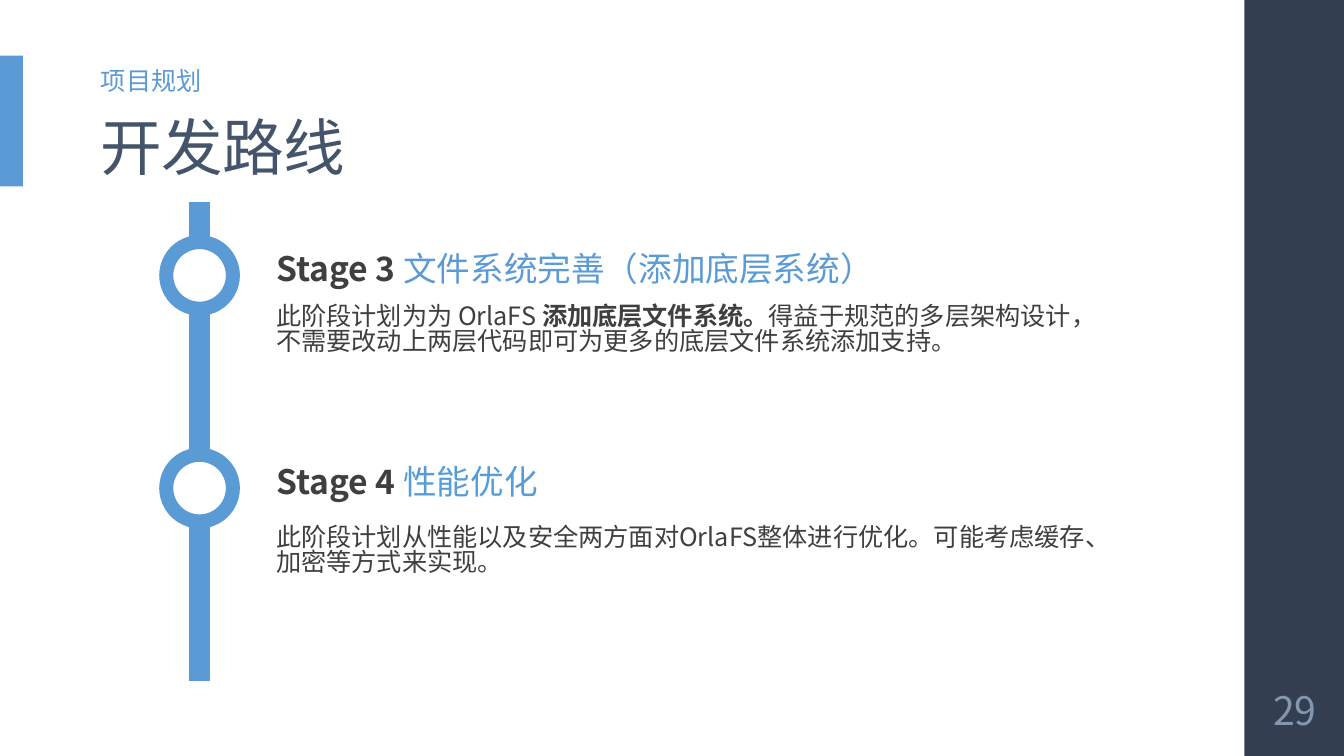
from lxml import etree
from pptx import Presentation
from pptx.dml.color import RGBColor
from pptx.enum.shapes import MSO_CONNECTOR, MSO_SHAPE
from pptx.enum.text import MSO_ANCHOR, PP_ALIGN
from pptx.oxml.ns import qn
from pptx.util import Cm, Pt

RECT, OVAL = MSO_SHAPE.RECTANGLE, MSO_SHAPE.OVAL
STRAIGHT = MSO_CONNECTOR.STRAIGHT
TOP, MIDDLE, BOTTOM = MSO_ANCHOR.TOP, MSO_ANCHOR.MIDDLE, MSO_ANCHOR.BOTTOM
LEFT, CENTER = PP_ALIGN.LEFT, PP_ALIGN.CENTER

FONT, MONO = "Noto Sans CJK SC", "Noto Sans Mono"
BLUE, CODE_BLUE, SLATE = "5B9BD5", "569CD6", "44546A"
NAVY, GREY_BLUE, DARK, WHITE = "333F50", "8497B0", "3F3F3F", "FFFFFF"

SLIDE_W, SLIDE_H = 33.87, 19.05
SIDEBAR_X, SIDEBAR_W = 31.36, 2.54
TITLE_X, TITLE_W = 2.29, 27.08
AXIS_X, RING = 5.03, 1.68
TEXT_X = 6.71
LINE_SPACING = 0.83

# ring top, label, (heading, colour, latin font), description as (text, bold)
STAGES = [
    (6.1, "Stage 3 ", ("文件系统完善（添加底层系统）", BLUE, FONT),
     [("此阶段计划为为 OrlaFS ", False), ("添加底层文件系统。", True),
      ("得益于规范的多层架构设计，不需要改动上两层代码即可为更多的底层文件系统添加支持。", False)]),
    (11.46, "Stage 4 ", ("性能优化", CODE_BLUE, MONO),
     [("此阶段计划从性能以及安全两方面对OrlaFS整体进行优化。可能考虑缓存、加密等方式来实现。", False)]),
]


def rgb(hex_color):
    return RGBColor.from_string(hex_color)


def add_block(slide, kind, x, y, w, h, fill, outline=None, weight=0):
    block = slide.shapes.add_shape(kind, Cm(x), Cm(y), Cm(w), Cm(h))
    block.shadow.inherit = False
    block.fill.solid()
    block.fill.fore_color.rgb = rgb(fill)
    if outline:
        block.line.color.rgb = rgb(outline)
        block.line.width = Pt(weight)
    else:
        block.line.fill.background()


def add_axis(slide, x, top, bottom):
    axis = slide.shapes.add_connector(STRAIGHT, Cm(x), Cm(top), Cm(x), Cm(bottom))
    axis.line.color.rgb = rgb(BLUE)
    axis.line.width = Pt(15)
    etree.SubElement(axis.line._get_or_add_ln().getparent(), qn("a:effectLst"))


def add_text(slide, x, y, w, h, runs, size, color, anchor=TOP, align=LEFT,
             spacing=LINE_SPACING, after=0, tracking=0):
    """Add a one-paragraph box; each run is (text, bold, colour, latin font)."""
    frame = slide.shapes.add_textbox(Cm(x), Cm(y), Cm(w), Cm(h)).text_frame
    frame.word_wrap = True
    frame.vertical_anchor = anchor
    paragraph = frame.paragraphs[0]
    paragraph.alignment = align
    paragraph.line_spacing = spacing
    paragraph.space_after = Pt(after)
    paragraph.font.size = Pt(size)
    paragraph.font.name = FONT
    paragraph.font.color.rgb = rgb(color)
    # East Asian typeface and letter spacing
    defaults = paragraph.font._rPr
    etree.SubElement(defaults, qn("a:ea")).set("typeface", FONT)
    if tracking:
        defaults.set("spc", str(tracking))
    for text, bold, run_color, run_font in runs:
        run = paragraph.add_run()
        run.text = text
        if bold:
            run.font.bold = True
        if run_color != color:
            run.font.color.rgb = rgb(run_color)
        if run_font != FONT:
            run.font.name = run_font
    return frame


def add_stage(slide, top, label, heading, description):
    add_block(slide, OVAL, AXIS_X - RING / 2, top, RING, RING, WHITE, BLUE, 10)
    name, name_color, name_font = heading
    add_text(slide, TEXT_X, top + 0.2, 16.97, 1.27,
             [(label, True, DARK, FONT), (name, False, name_color, name_font)], 24, DARK)
    add_text(slide, TEXT_X, top + (1.47 if top < 10 else 1.67), 20.93, 1.8,
             [(text, bold, DARK, FONT) for text, bold in description], 18, DARK)


def main():
    deck = Presentation()
    deck.slide_width, deck.slide_height = Cm(SLIDE_W), Cm(SLIDE_H)
    slide = deck.slides.add_slide(deck.slide_layouts[6])

    # Side bar and title accent
    add_block(slide, RECT, SIDEBAR_X, 0, SLIDE_W - SIDEBAR_X, SLIDE_H, NAVY)
    add_block(slide, RECT, 0, 1.4, 0.58, 3.3, BLUE)

    # Title, section and page number
    add_text(slide, TITLE_X, 2.64, TITLE_W, 2.06, [("开发路线", False, SLATE, FONT)],
             44, SLATE, BOTTOM, spacing=0.75, tracking=-50)
    add_text(slide, TITLE_X, 1.4, TITLE_W, 1.12, [("项目规划", False, BLUE, FONT)],
             18, BLUE, BOTTOM, spacing=0.79, after=2, tracking=10)
    page = add_text(slide, SIDEBAR_X, 17.15, SIDEBAR_W, 1.65,
                    [("29", False, GREY_BLUE, FONT)], 28, GREY_BLUE, MIDDLE, CENTER)
    page.margin_left = page.margin_right = Cm(0.13)

    # Timeline
    add_axis(slide, AXIS_X, 5.08, 17.17)
    for stage in STAGES:
        add_stage(slide, *stage)

    deck.save("out.pptx")


if __name__ == "__main__":
    main()
